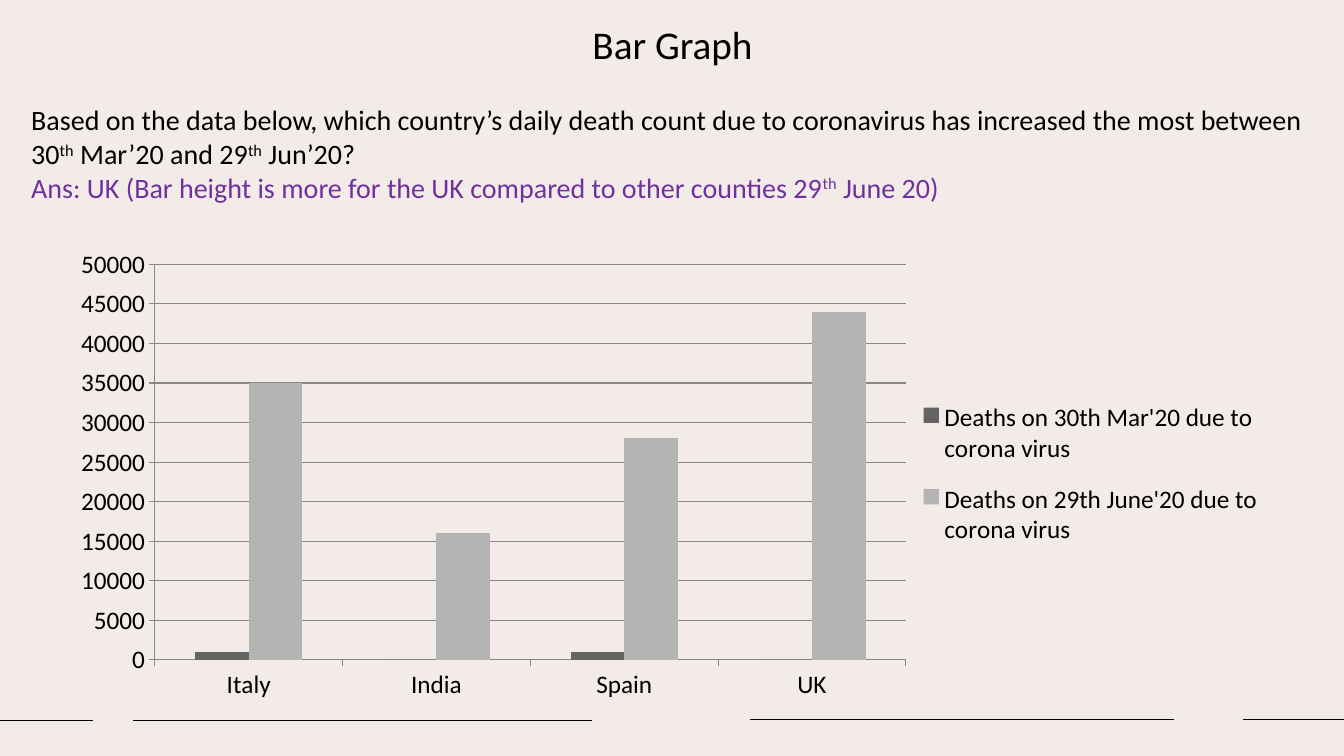
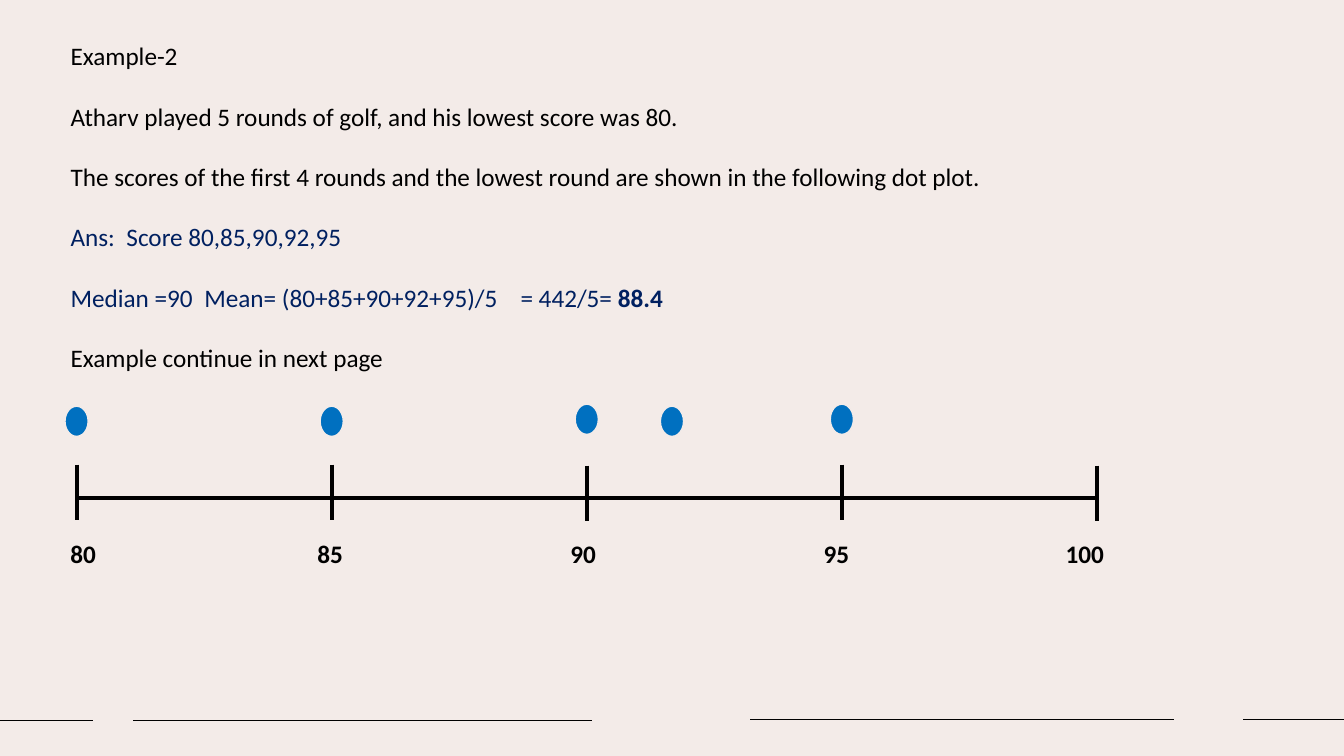
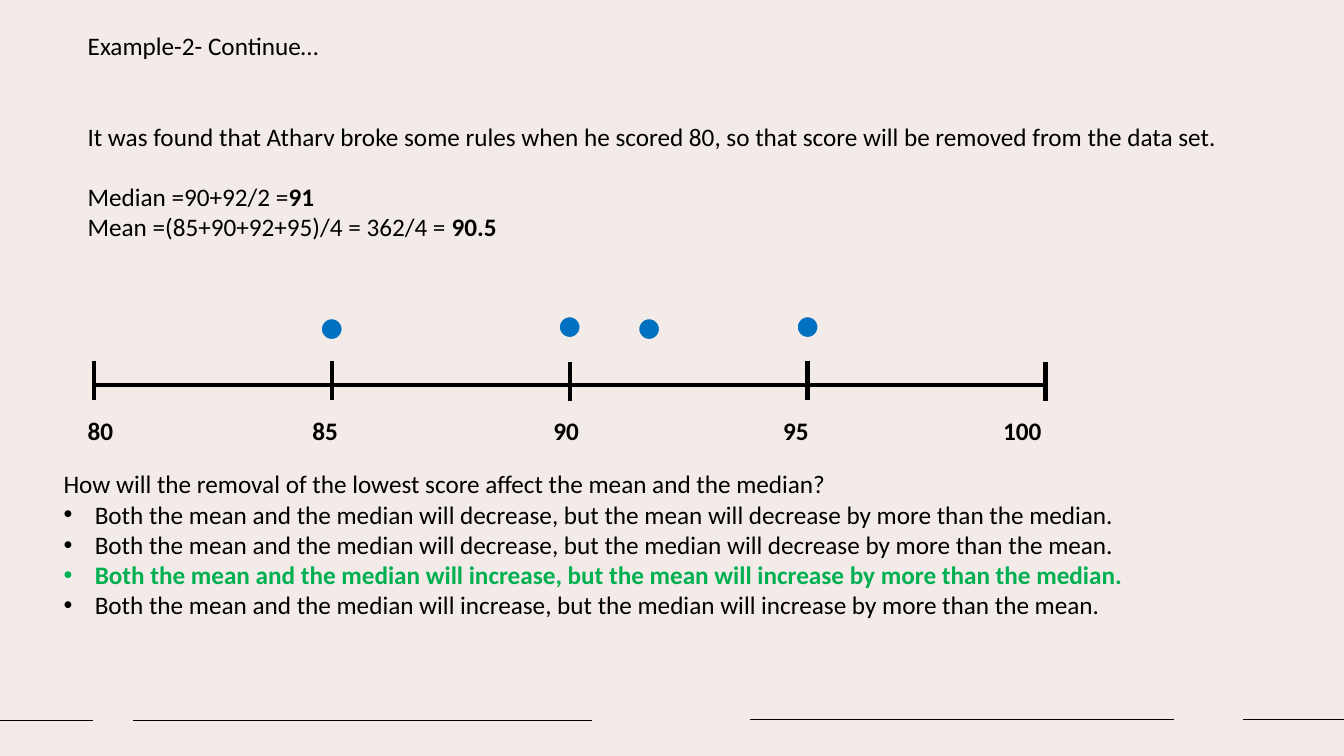
import pptx
import pptx.chart.data
import pptx.dml.color
import pptx.enum.chart
import pptx.enum.shapes
import pptx.enum.text
import pptx.oxml.ns
import pptx.util
from lxml import etree

Inches, Pt = pptx.util.Inches, pptx.util.Pt
RGBColor = pptx.dml.color.RGBColor
qn = pptx.oxml.ns.qn
ALIGN = pptx.enum.text.PP_ALIGN

# Shared style
FONT = "Calibri"
PAPER = RGBColor(0xF3, 0xEB, 0xE8)
BLACK = RGBColor(0, 0, 0)
PURPLE = RGBColor(0x70, 0x30, 0xA0)
NAVY = RGBColor(0x00, 0x20, 0x60)
GREEN = RGBColor(0x00, 0xB0, 0x50)
BLUE = RGBColor(0x00, 0x70, 0xC0)
GREY = RGBColor(0x88, 0x88, 0x88)
DARK_BAR = RGBColor(0x64, 0x64, 0x64)
LIGHT_BAR = RGBColor(0xB4, 0xB4, 0xB4)
FOOT_LINES = [(0, 0.92, 7.15), (1.32, 5.87, 7.15), (7.44, 11.64, 7.14), (12.33, 13.33, 7.14)]
BLANK_LINE = 21.6
# Spaces widened by letter spacing, in points
WIDE, WIDER = (" ", 4.1), (" ", 12.2)

# Content: a paragraph is a dict of spans and settings; "^" marks a raised span, "*" a bold one
QUESTION = [
    dict(spans=["Based on the data below, which country’s daily death count due to coronavirus "
                "has increased the most between 30", "^th", " Mar’20 and 29", "^th", " Jun’20?"]),
    dict(spans=["Ans: UK (Bar height is more for the UK compared to other counties 29",
                "^th", " June 20)"], color=PURPLE),
]
COUNTRIES = ["Italy", "India", "Spain", "UK"]
DEATHS = [
    ("Deaths on 30th Mar'20 due to corona virus", (1000, 0, 1000, 0), DARK_BAR),
    ("Deaths on 29th June'20 due to corona virus", (35000, 16000, 28000, 44000), LIGHT_BAR),
]
GOLF = [
    dict(spans=["Atharv played 5 rounds of golf, and his lowest score was 80."]),
    dict(spans=["The scores of the first 4 rounds and the lowest round are shown "
                "in the following dot plot."], before=BLANK_LINE),
    dict(spans=["Ans:", WIDE, "Score 80,85,90,92,95"], color=NAVY, before=BLANK_LINE),
    dict(spans=["Median =90", WIDE, "Mean= (80+85+90+92+95)/5", WIDER, "= 442/5= ", "*88.4"],
         color=NAVY, before=BLANK_LINE),
    dict(spans=["Example continue in next page"], before=BLANK_LINE),
]
REMOVAL = [
    dict(spans=["It was found that Atharv broke some rules when he scored 80, "
                "so that score will be removed from the data set."]),
    dict(spans=["Median =90+92/2 =", "*91"], before=BLANK_LINE),
    dict(spans=["Mean =(85+90+92+95)/4 = 362/4 = ", "*90.5"]),
]
OPTIONS = [
    dict(spans=["How will the removal of the lowest score affect the mean and the median?"]),
    dict(spans=["Both the mean and the median will decrease, "
                "but the mean will decrease by more than the median."], bullet=True),
    dict(spans=["Both the mean and the median will decrease, "
                "but the median will decrease by more than the mean."], bullet=True),
    dict(spans=["*Both the mean and the median will increase, "
                "but the mean will increase by more than the median."], color=GREEN, bullet=True),
    dict(spans=["Both the mean and the median will increase, "
                "but the median will increase by more than the mean."], bullet=True),
]
# Place on the score axis and small vertical drop
TICKS = [(80, 0), (85, 0), (90, 0.01), (95, 0), (100, 0.01)]
DOTS = [(80, 0.02), (85, 0.02), (90, 0), (91.67, 0.02), (95, 0)]


def add_para(frame, first, spans, size=18, color=BLACK, before=0, bullet=False,
             align=ALIGN.LEFT):
    para = frame.paragraphs[0] if first else frame.add_paragraph()
    para.alignment = align
    para.space_before = Pt(before)
    props = para._p.get_or_add_pPr()
    indent = Inches(0.31) if bullet else 0
    props.set("marL", str(indent))
    props.set("indent", str(-indent))
    if bullet:
        etree.SubElement(props, qn("a:buFont"), typeface="Arial")
        etree.SubElement(props, qn("a:buChar"), char="•")
    else:
        etree.SubElement(props, qn("a:buNone"))
    for item in spans:
        text, spacing = item if isinstance(item, tuple) else (item, 0)
        span = para.add_run()
        span.text = text.lstrip("^*")
        span.font.name, span.font.size = FONT, Pt(size)
        span.font.color.rgb = color
        span.font.bold = text.startswith("*")
        if text.startswith("^"):
            span._r.get_or_add_rPr().set("baseline", "30000")
        if spacing:
            span._r.get_or_add_rPr().set("spc", str(round(spacing * 100)))


def fill_box(box, place, paras, **style):
    box.left, box.top, box.width, box.height = (Inches(value) for value in place)
    frame = box.text_frame
    frame.word_wrap = True
    frame.auto_size = pptx.enum.text.MSO_AUTO_SIZE.NONE
    frame.vertical_anchor = pptx.enum.text.MSO_ANCHOR.TOP
    for number, para in enumerate(paras):
        add_para(frame, number == 0, **{**style, **para})


def add_text(slide, place, paras):
    fill_box(slide.shapes.add_textbox(0, 0, 0, 0), place, paras)


def add_line(slide, x1, y1, x2, y2, width):
    line = slide.shapes.add_connector(pptx.enum.shapes.MSO_CONNECTOR.STRAIGHT,
                                      *(Inches(value) for value in (x1, y1, x2, y2)))
    line.line.color.rgb = BLACK
    line.line.width = Pt(width)
    etree.SubElement(line._element.spPr, qn("a:effectLst"))
    return line


def add_dot_plot(slide, left, step, axis_y, tick_y, tick_height, dots, dot_y, dot_size,
                 label_y, label_lefts):
    def place(score):
        return left + (score - 80) / 5 * step

    add_line(slide, left, axis_y, place(100), axis_y, 3)
    for (score, drop), label_left in zip(TICKS, label_lefts):
        top = tick_y + drop
        add_line(slide, place(score), top, place(score), top + tick_height, 3)
        add_text(slide, (label_left, label_y, 0.7, 0.4), [dict(spans=[f"*{score}"])])
    width, height = dot_size
    for score, drop in dots:
        dot = slide.shapes.add_shape(
            pptx.enum.shapes.MSO_SHAPE.OVAL, Inches(place(score) - width / 2),
            Inches(dot_y + drop), Inches(width), Inches(height))
        dot.shadow.inherit = False
        dot.fill.solid()
        dot.fill.fore_color.rgb = BLUE
        dot.line.color.rgb = PAPER
        dot.line.width = Pt(1)


def set_layout(layout, x, y, width, height, target=None):
    """Places a chart part by shares of the chart's size."""
    manual = etree.SubElement(layout, qn("c:manualLayout"))
    if target:
        etree.SubElement(manual, qn("c:layoutTarget"), val=target)
    for tag, value in (("xMode", "edge"), ("yMode", "edge"),
                       ("x", x), ("y", y), ("w", width), ("h", height)):
        etree.SubElement(manual, qn("c:" + tag), val=str(value))


def add_death_chart(slide, place):
    data = pptx.chart.data.CategoryChartData()
    data.categories = COUNTRIES
    for name, values, _ in DEATHS:
        data.add_series(name, values)
    chart = slide.shapes.add_chart(pptx.enum.chart.XL_CHART_TYPE.COLUMN_CLUSTERED,
                                   *(Inches(value) for value in place), data).chart
    chart.has_title = False
    chart.font.name, chart.font.size = FONT, Pt(18)
    chart.font.color.rgb = BLACK
    chart.has_legend = True
    chart.legend.position = pptx.enum.chart.XL_LEGEND_POSITION.RIGHT
    chart.legend.include_in_layout = False
    plot = chart.plots[0]
    plot.gap_width, plot.overlap = 150, 0
    plot.vary_by_categories = False
    for series, (_, _, color) in zip(plot.series, DEATHS):
        series.format.fill.solid()
        series.format.fill.fore_color.rgb = color
    values = chart.value_axis
    values.minimum_scale, values.maximum_scale, values.major_unit = 0, 50000, 5000
    values.has_major_gridlines = True
    for part in (values, chart.category_axis, values.major_gridlines):
        part.format.line.color.rgb = GREY
        part.format.line.width = Pt(0.75)
    # Plot area and legend
    area = chart._chartSpace.find(".//" + qn("c:plotArea"))
    legend = chart._chartSpace.find(".//" + qn("c:legend"))
    for part, position, bounds in ((area, 0, (0.08, 0.05, 0.61, 0.84, "inner")),
                                   (legend, 1, (0.7, 0.3, 0.28, 0.39))):
        layout = part.find(qn("c:layout"))
        if layout is None:
            layout = etree.Element(qn("c:layout"))
            part.insert(position, layout)
        set_layout(layout, *bounds)


def add_page(deck, title, title_at, body, body_at, title_style, body_style):
    slide = deck.slides.add_slide(deck.slide_layouts[1])
    fill_box(slide.shapes.title, title_at, [dict(spans=[title])], **title_style)
    fill_box(slide.placeholders[1], body_at, body, **body_style)
    return slide


def main():
    deck = pptx.Presentation()
    deck.slide_width, deck.slide_height = Inches(13.33), Inches(7.5)
    master = deck.slide_master
    master.background.fill.solid()
    master.background.fill.fore_color.rgb = PAPER

    # Bar graph
    page = add_page(deck, "Bar Graph", (0.67, 0.15, 12, 0.82),
                    QUESTION, (0.21, 0.97, 12.84, 1.25),
                    dict(size=28, align=ALIGN.CENTER), dict(size=20))
    add_death_chart(page, (0.56, 2.39, 12.21, 4.67))

    # Foot lines, moved to the master so that all slides share them
    for number, (start, end, y) in enumerate(FOOT_LINES):
        line = add_line(page, start, y, end, y, 1)
        line._element.nvCxnSpPr.cNvPr.set("id", str(100 + number))
        master.shapes._spTree.append(line._element)

    # Dot plot of five rounds
    page = add_page(deck, "Example-2", (0.6, 0.35, 10.49, 0.4),
                    GOLF, (0.6, 0.95, 10.49, 2.83), {}, {})
    add_dot_plot(page, 0.76, 2.53, 4.94, 4.61, 0.55, DOTS, 4.01, (0.23, 0.3),
                 5.29, [0.6, 3.05, 5.56, 8.07, 10.47])

    # Dot plot without the lowest round
    page = add_page(deck, "Example-2- Continue…", (0.77, 0.25, 12.12, 0.4),
                    OPTIONS, (0.53, 4.6, 11.65, 1.62), {}, {})
    add_text(page, (0.77, 1.15, 12.12, 1.62), REMOVAL)
    add_dot_plot(page, 0.93, 2.36, 3.82, 3.58, 0.39, DOTS[1:], 3.14, (0.21, 0.21),
                 4.07, [0.77, 3, 5.39, 7.67, 9.85])

    deck.save("out.pptx")


if __name__ == "__main__":
    main()
